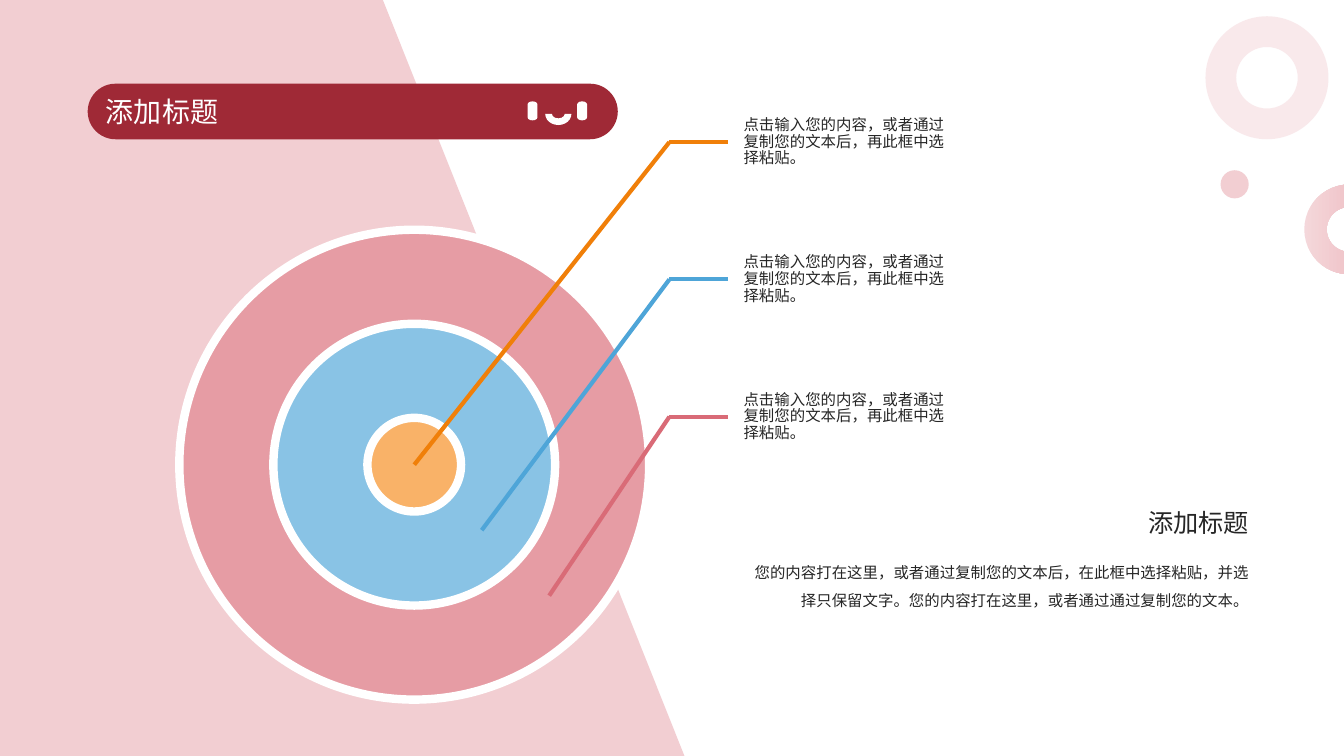
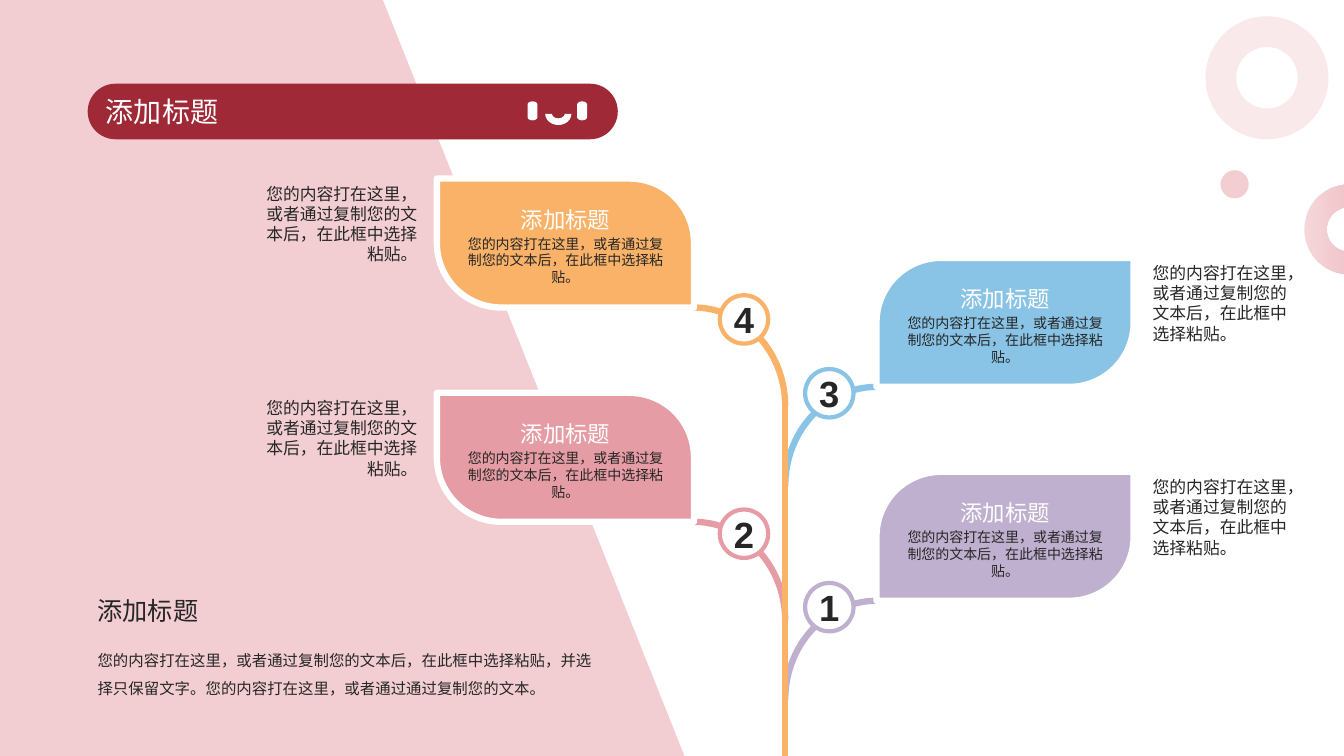
from lxml import etree
from pptx import Presentation
from pptx.dml.color import RGBColor
from pptx.enum.shapes import MSO_CONNECTOR, MSO_SHAPE
from pptx.enum.text import MSO_ANCHOR, MSO_AUTO_SIZE, PP_ALIGN
from pptx.oxml.ns import qn
from pptx.util import Cm, Pt

STRAIGHT = MSO_CONNECTOR.STRAIGHT
ARC, BLOCK_ARC, DONUT, OVAL = MSO_SHAPE.ARC, MSO_SHAPE.BLOCK_ARC, MSO_SHAPE.DONUT, MSO_SHAPE.OVAL
PILL, EYE, CARD = (MSO_SHAPE.ROUNDED_RECTANGLE, MSO_SHAPE.FLOWCHART_TERMINATOR,
                   MSO_SHAPE.ROUND_2_DIAG_RECTANGLE)
LEFT, CENTER, RIGHT = PP_ALIGN.LEFT, PP_ALIGN.CENTER, PP_ALIGN.RIGHT
MIDDLE = MSO_ANCHOR.MIDDLE

COLORS = {
    "white": "FFFFFF", "ink": "262626", "crimson": "9F2936", "blush": "F2CED2",
    "pink": "E69CA4", "blue": "89C3E5", "orange": "F9B268", "purple": "BFB0CF",
    "deep_orange": "F07F09", "deep_blue": "4EA5D8", "deep_pink": "D96B77",
}
FONT = "Noto Sans CJK JP"
NUMBER_FONT = "Arial"

TITLE = "添加标题"
CALLOUT = "点击输入您的内容，或者通过复制您的文本后，再此框中选择粘贴。"
DETAIL = "您的内容打在这里，或者通过复制您的文本后，在此框中选择粘贴。"
SUMMARY = ("您的内容打在这里，或者通过复制您的文本后，在此框中选择粘贴，并选择只保留文字。"
           "您的内容打在这里，或者通过通过复制您的文本。")


def add_shape(slide, kind, left, top, width, height, fill=None, line=None, line_width=0):
    shape = slide.shapes.add_shape(kind, Cm(left), Cm(top), Cm(width), Cm(height))
    shape.shadow.inherit = False
    if fill:
        shape.fill.solid()
        shape.fill.fore_color.rgb = RGBColor.from_string(COLORS[fill])
    else:
        shape.fill.background()
    if line:
        shape.line.color.rgb = RGBColor.from_string(COLORS[line])
        shape.line.width = Pt(line_width)
    else:
        shape.line.fill.background()
    return shape


def set_text(shape, text, size, color="ink", align=LEFT, spacing=1.0, font=FONT, bold=False):
    frame = shape.text_frame
    frame.text = text
    frame.word_wrap = True
    paragraph = frame.paragraphs[0]
    paragraph.alignment = align
    paragraph.line_spacing = spacing
    run = paragraph.runs[0]
    run.font.size = Pt(size)
    run.font.bold = bold
    run.font.name = font
    run.font.color.rgb = RGBColor.from_string(COLORS[color])
    etree.SubElement(run.font._element, qn("a:ea")).set("typeface", font)
    return frame


presentation = Presentation()
presentation.slide_width, presentation.slide_height = Cm(33.87), Cm(19.05)
title_only = presentation.slide_layouts[5]
connectors = []

# Shared frame of both slides: left and top of the summary, and its alignment
for summary_left, summary_top, summary_align in ((18.52, 12.65, RIGHT), (2.21, 14.88, LEFT)):
    slide = presentation.slides.add_slide(title_only)

    # Slanted panel
    builder = slide.shapes.build_freeform(0, 0)
    builder.add_line_segments([(Cm(9.65), 0), (Cm(17.25), Cm(19.05)), (0, Cm(19.05))])
    panel = builder.convert_to_shape()
    panel.shadow.inherit = False
    panel.fill.solid()
    panel.fill.fore_color.rgb = RGBColor.from_string(COLORS["blush"])
    panel.line.fill.background()

    # Rings and dot at the right edge
    ring = add_shape(slide, DONUT, 30.38, 0.41, 3.1, 3.1, "blush")
    half_ring = add_shape(slide, BLOCK_ARC, 32.87, 4.65, 2.26, 2.26)
    half_ring.rotation = 270
    half_ring.fill.gradient()
    half_ring.fill.gradient_angle = 270
    for stop, color in zip(half_ring.fill.gradient_stops, ("blush", "pink")):
        stop.color.rgb = RGBColor.from_string(COLORS[color])
    for shape, opacity in ((ring, 43), (half_ring, 80)):
        for color_element in shape.element.iter(qn("a:srgbClr")):
            etree.SubElement(color_element, qn("a:alpha")).set("val", str(opacity * 1000))
    add_shape(slide, OVAL, 30.76, 4.29, 0.71, 0.71, "blush")

    # Title on its band
    band = add_shape(slide, PILL, 2.21, 2.11, 13.36, 1.4, "crimson")
    band.adjustments[0] = 0.5
    title = slide.shapes.title
    title.left, title.top, title.width, title.height = band.left, band.top, band.width, band.height
    frame = set_text(title, TITLE, 20, "white")
    frame.auto_size = MSO_AUTO_SIZE.NONE
    frame.vertical_anchor = MIDDLE
    frame.margin_left = Cm(0.46)
    slide.shapes.element.append(title.element)

    # Smiling face on the band
    for eye_left in (13.18, 14.43):
        add_shape(slide, EYE, eye_left, 2.67, 0.48, 0.25, "white").rotation = 90
    mouth = add_shape(slide, BLOCK_ARC, 13.74, 2.59, 0.66, 0.56, "white")
    mouth.rotation = 180
    mouth.adjustments[2] = 0.3

    # Summary
    heading = slide.shapes.add_textbox(Cm(summary_left), Cm(summary_top), Cm(13.21), Cm(1.02))
    set_text(heading, TITLE, 18, align=summary_align)
    body = slide.shapes.add_textbox(Cm(summary_left), Cm(summary_top + 1.18), Cm(13.21), Cm(1.65))
    set_text(body, SUMMARY, 11, align=summary_align, spacing=1.5)

target_slide, tree_slide = presentation.slides

# Slide 1: concentric target
center_x, center_y = 10.44, 11.71
for diameter, color in ((11.84, "pink"), (7.1, "blue"), (2.36, "orange")):
    add_shape(target_slide, OVAL, center_x - diameter / 2, center_y - diameter / 2,
              diameter, diameter, color, "white", 6)

# Slide 1: callouts, each with a level and a slanted line
elbow_x, label_left, label_height = 16.87, 18.34, 3.46
for index, color in enumerate(("deep_orange", "deep_blue", "deep_pink")):
    label_y = 3.58 + index * label_height
    label = target_slide.shapes.add_textbox(
        Cm(label_left), Cm(label_y - label_height / 2), Cm(5.92), Cm(label_height))
    frame = set_text(label, CALLOUT, 11, spacing=0.9)
    frame.vertical_anchor = MIDDLE
    frame.margin_left = Cm(0.4)
    frame.margin_top = frame.margin_right = frame.margin_bottom = Cm(0.08)
    level = target_slide.shapes.add_connector(
        STRAIGHT, Cm(elbow_x), Cm(label_y), Cm(label_left), Cm(label_y))
    level.end_connect(label, 1)
    slant = target_slide.shapes.add_connector(
        STRAIGHT, Cm(elbow_x), Cm(label_y),
        Cm(center_x + index * 1.7), Cm(center_y + index * 1.65))
    connectors += [(level, color, 3), (slant, color, 3)]

# Slide 2: branches from bottom to top, alternating right and left of the trunk
trunk_x, branch_gap = 19.79, 2.3
card_width, card_height, card_text_width = 6.48, 3.25, 5.51
arc_width, arc_height, node_size = 2 * branch_gap, 4.98, 1.22
branches = (("1", "purple", 11.89), ("2", "pink", 9.9), ("3", "blue", 6.5), ("4", "orange", 4.5))
for index, (number, color, card_top) in enumerate(branches):
    if index % 2 == 0:
        card_left, arc_left = trunk_x + branch_gap, trunk_x
        arc_angles, card_corners = (108, 162), (0.5, 0)
        node_x, node_top = trunk_x + 1.11, card_top + 2.8
        detail_left, detail_width, detail_align = 28.8, 4.06, LEFT
    else:
        card_left, arc_left = trunk_x - branch_gap - card_width, trunk_x - arc_width
        arc_angles, card_corners = (162, 0), (0, 0.5)
        node_x, node_top = trunk_x - 1.04, card_top + 2.94
        detail_left, detail_width, detail_align = 6.4, 4.37, RIGHT

    arc = add_shape(tree_slide, ARC, arc_left, card_top + card_height, arc_width, arc_height,
                    line=color, line_width=4.5)
    card = add_shape(tree_slide, CARD, card_left, card_top, card_width, card_height,
                     color, "white", 4.5)
    for position in range(2):
        arc.adjustments[position] = arc_angles[position]
        card.adjustments[position] = card_corners[position]

    card_text_left = card_left + (card_width - card_text_width) / 2
    for text, offset, height, size, text_color in (
            (TITLE, 0.56, 0.94, 16, "white"), (DETAIL, 1.3, 1.52, 10, "ink")):
        box = tree_slide.shapes.add_textbox(
            Cm(card_text_left), Cm(card_top + offset), Cm(card_text_width), Cm(height))
        set_text(box, text, size, text_color, CENTER)

    detail = tree_slide.shapes.add_textbox(
        Cm(detail_left), Cm(card_top), Cm(detail_width), Cm(2.29))
    set_text(detail, DETAIL, 12, align=detail_align)

    node = add_shape(tree_slide, OVAL, node_x - node_size / 2, node_top, node_size, node_size,
                     "white", color, 3)
    frame = set_text(node, number, 26, align=CENTER, font=NUMBER_FONT, bold=True)
    frame.word_wrap = False
    frame.vertical_anchor = MIDDLE
    frame.margin_left = frame.margin_top = frame.margin_right = frame.margin_bottom = 0

# Slide 2: trunk
trunk = tree_slide.shapes.add_connector(
    STRAIGHT, Cm(trunk_x), Cm(10.24), Cm(trunk_x), Cm(19.05))
connectors.append((trunk, "orange", 4.5))

# Line style of all connectors
for connector, color, width in connectors:
    connector.line.color.rgb = RGBColor.from_string(COLORS[color])
    connector.line.width = Pt(width)
    etree.SubElement(connector.element.spPr, qn("a:effectLst"))

presentation.save("out.pptx")
